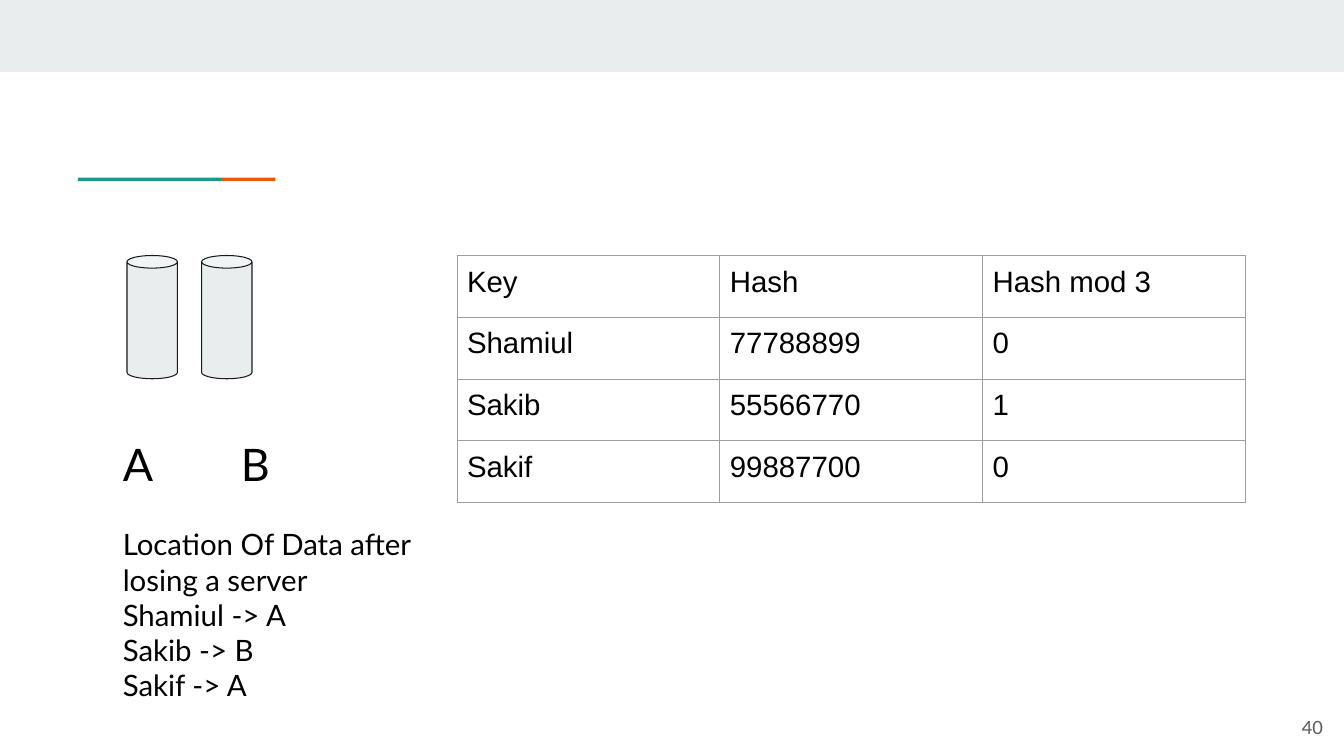
from dataclasses import dataclass

from lxml import etree
from pptx import Presentation
from pptx import util as u
from pptx.dml.color import RGBColor
from pptx.enum import shapes, text
from pptx.oxml import parse_xml
from pptx.oxml.ns import nsdecls, qn


@dataclass(frozen=True)
class Theme:
    pale: str = "E9EDEE"
    teal: str = "1A9988"
    orange: str = "EB5600"
    outline: str = "1A1A1A"
    border: str = "9E9E9E"
    ink: str = "000000"
    muted: str = "595959"
    small: int = 13
    body: int = 21
    large: int = 32
    hairline: float = 0.75


theme = Theme()
deck = Presentation()
deck.slide_width, deck.slide_height = u.Inches(13.33), u.Inches(7.5)
page = deck.slides.add_slide(deck.slide_layouts[6])


def area(left, top, width, height):
    """Turn percentages of the slide's size into lengths."""
    across, down = deck.slide_width / 100, deck.slide_height / 100
    return int(left * across), int(top * down), int(width * across), int(height * down)


def write(frame, lines, font="Lato", size=theme.body, color=theme.ink,
          align=text.PP_ALIGN.LEFT, anchor=text.MSO_ANCHOR.TOP, inset=0.1):
    frame.word_wrap = True
    frame.vertical_anchor = anchor
    frame.margin_left = frame.margin_right = u.Inches(inset)
    frame.margin_top = frame.margin_bottom = u.Inches(inset)
    for index, line in enumerate(lines):
        para = frame.add_paragraph() if index else frame.paragraphs[0]
        para.alignment = align
        span = para.add_run()
        span.text = line
        span.font.name, span.font.size = font, u.Pt(size)
        span.font.color.rgb = RGBColor.from_string(color)


# Banner, two-coloured accent rule and the two remaining servers
kinds = shapes.MSO_SHAPE
drawn = [
    (kinds.RECTANGLE, (0, 0, 100, 9.5), theme.pale),
    (kinds.RECTANGLE, (5.8, 23.5, 10.65, 0.43), theme.teal),
    (kinds.RECTANGLE, (16.45, 23.5, 4.05, 0.43), theme.orange),
]
drawn += [(kinds.CAN, (9.45 + 5.55 * server, 33.8, 3.75, 16.3), theme.pale)
          for server in range(2)]
for kind, place, color in drawn:
    shape = page.shapes.add_shape(kind, *area(*place))
    shape.shadow.inherit = False
    shape.fill.solid()
    shape.fill.fore_color.rgb = RGBColor.from_string(color)
    if kind == kinds.CAN:
        shape.adjustments[0] = 0.25
        shape.line.color.rgb = RGBColor.from_string(theme.outline)
        shape.line.width = u.Pt(theme.hairline)
    else:
        shape.line.fill.background()

# Server names, spread by a tab stop
names = page.shapes.add_textbox(*area(8.4, 56.5, 13.1, 7.6)).text_frame
write(names, ["A\tB"], size=theme.large)
stops = etree.SubElement(names.paragraphs[0]._p.get_or_add_pPr(), qn("a:tabLst"))
etree.SubElement(stops, qn("a:tab"), pos=str(u.Inches(1.17)), algn="l")

locations = page.shapes.add_textbox(*area(8.4, 68.3, 27, 24.1)).text_frame
write(locations, ["Location Of Data after losing a server",
                  "Shamiul -> A", "Sakib -> B", "Sakif -> A"])

number = page.shapes.add_textbox(*area(93.4, 92.4, 6, 7.6)).text_frame
write(number, ["40"], size=theme.small, color=theme.muted, inset=0.13,
      align=text.PP_ALIGN.RIGHT, anchor=text.MSO_ANCHOR.MIDDLE)

# Hash table
records = [
    ("Key", "Hash", "Hash mod 3"),
    ("Shamiul", "77788899", "0"),
    ("Sakib", "55566770", "1"),
    ("Sakif", "99887700", "0"),
]
table = page.shapes.add_table(len(records), len(records[0]),
                              *area(34, 33.8, 58.65, 32.7)).table
table.first_row = table.horz_banding = False
for row, record in enumerate(records):
    for column, value in enumerate(record):
        cell = table.cell(row, column)
        write(cell.text_frame, [value], font="Arial")
        cell.margin_left = cell.margin_right = u.Inches(0.1)
        cell.margin_top = cell.margin_bottom = u.Inches(0.1)
        cell.fill.background()
        for position, side in enumerate(("lnL", "lnR", "lnT", "lnB")):
            cell._tc.get_or_add_tcPr().insert(position, parse_xml(
                f'<a:{side} {nsdecls("a")} w="{u.Pt(theme.hairline)}"><a:solidFill>'
                f'<a:srgbClr val="{theme.border}"/></a:solidFill></a:{side}>'))

deck.save("out.pptx")
